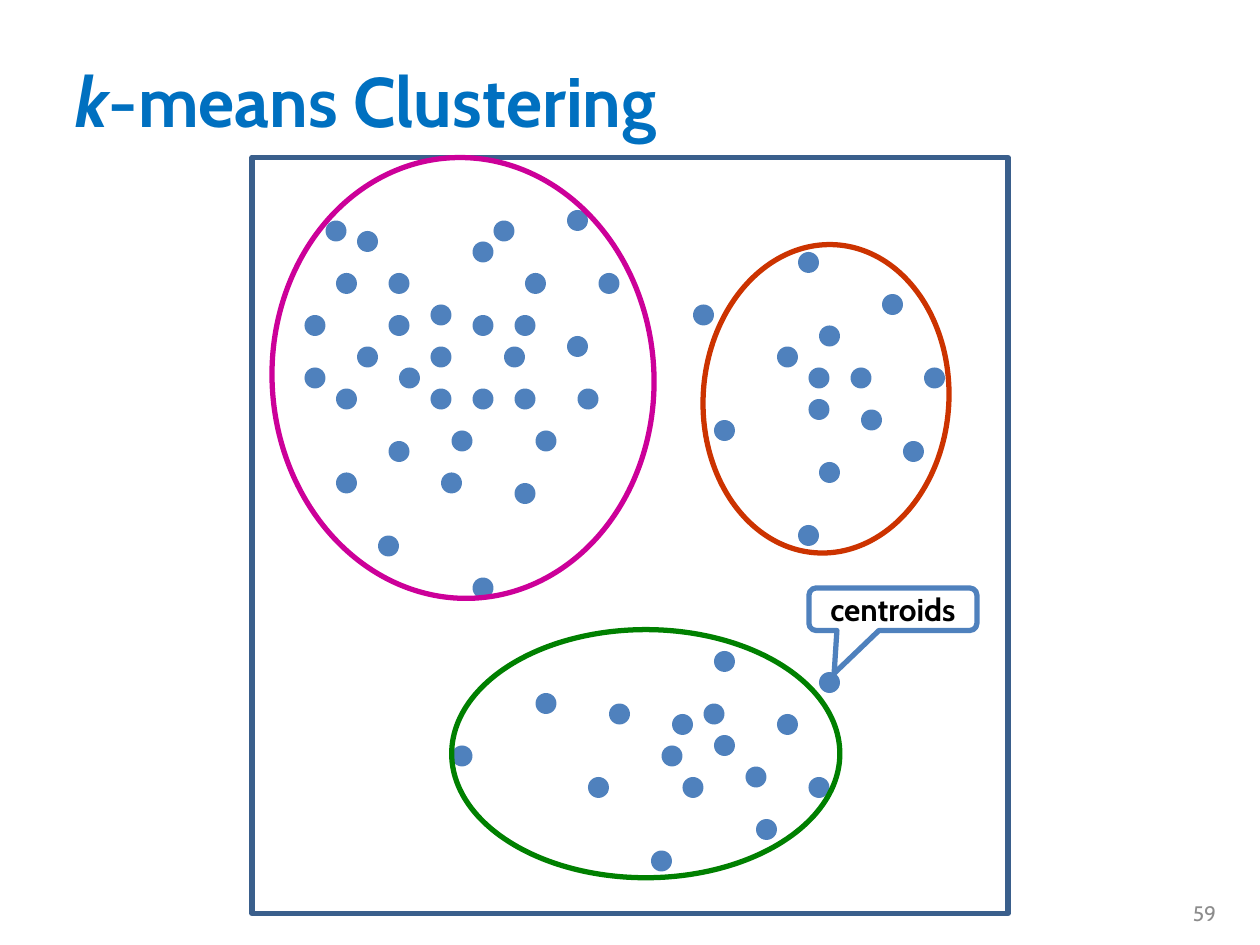
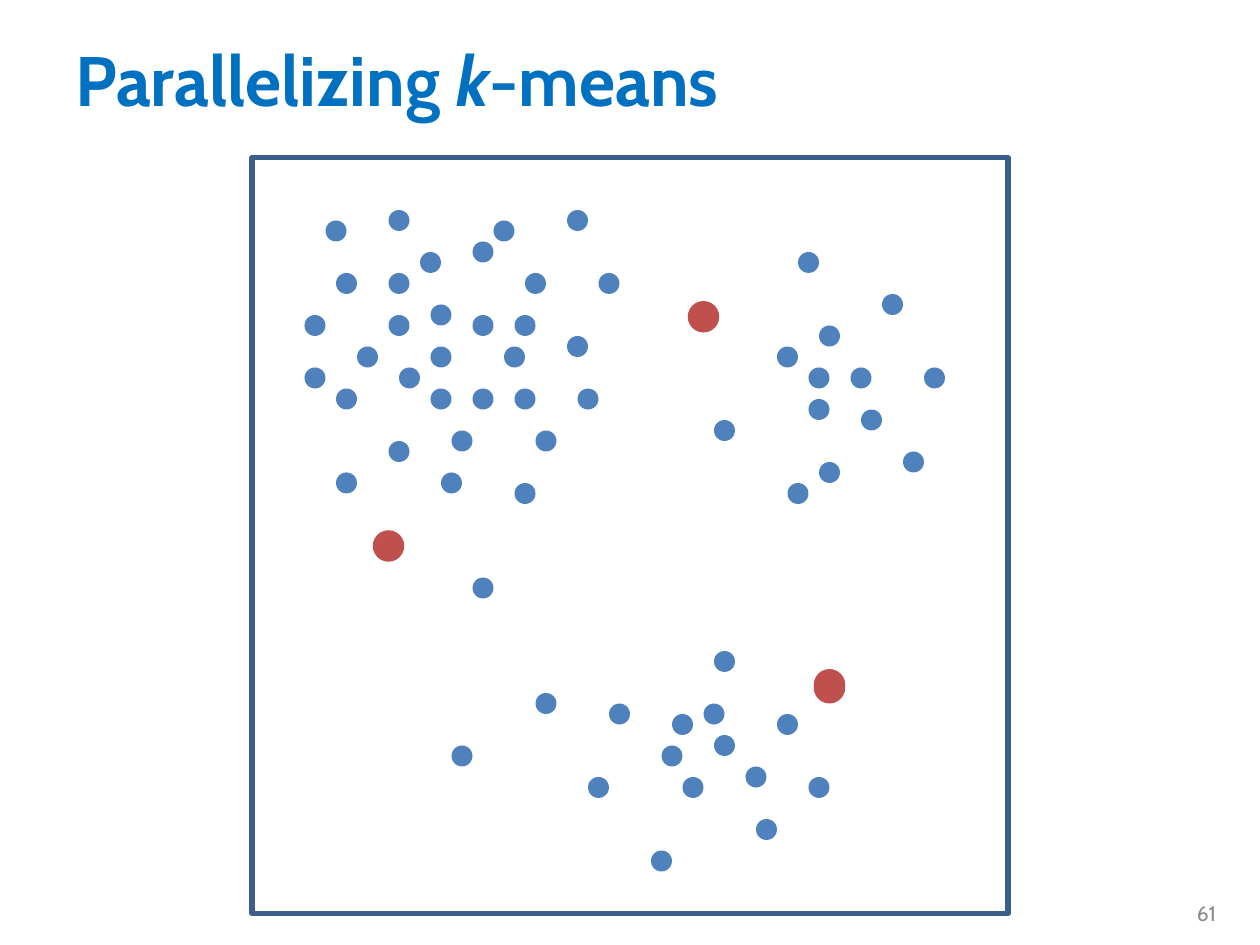
from dataclasses import dataclass

from pptx import Presentation
from pptx.dml.color import RGBColor
from pptx.enum.shapes import MSO_SHAPE
from pptx.enum.text import MSO_ANCHOR, PP_ALIGN
from pptx.shapes.autoshape import Shape
from pptx.slide import Slide
from pptx.text.text import TextFrame
from pptx.util import Pt

COLORS = {
    "title": "0070C0",
    "frame": "3A5F8C",
    "point": "4F81BD",
    "centroid": "C0504D",
    "left cluster": "CC0099",
    "right cluster": "CC3300",
    "bottom cluster": "008000",
    "label": "000000",
    "page number": "8C8C8C",
}
FONT_NAME = "Cabin"
TITLE_FORMAT = {"size": Pt(40), "bold": True}
LABEL_FORMAT = {"size": Pt(18), "bold": True}
PAGE_NUMBER_FORMAT = {"size": Pt(12)}
GRID_STEP = 6
POINT_SIZE = 12
CENTROID_SIZE = 18
OUTLINE_WIDTH = 3


@dataclass(frozen=True)
class Box:
    left: float
    top: float
    width: float
    height: float

    def lengths(self) -> tuple[Pt, Pt, Pt, Pt]:
        return Pt(self.left), Pt(self.top), Pt(self.width), Pt(self.height)


@dataclass(frozen=True)
class TextPart:
    text: str
    italic: bool = False


@dataclass(frozen=True)
class ClusterOutline:
    box: Box
    color: str
    rotation: float = 0


GridPoints = list[tuple[int, int]]

FRAME_BOX = Box(144, 90, 432, 432)
PAGE_NUMBER_BOX = Box(534, 507.6, 168, 28.8)
CALLOUT_BOX = Box(462.24, 336, 96, 24.3)

LEFT_POINTS: GridPoints = [
    (54, 20), (31, 21), (47, 21), (45, 23), (32, 26), (37, 26), (50, 26), (57, 26),
    (41, 29), (29, 30), (37, 30), (45, 30), (49, 30), (54, 32), (34, 33), (41, 33),
    (48, 33), (29, 35), (38, 35), (32, 37), (41, 37), (45, 37), (49, 37), (55, 37),
    (43, 41), (51, 41), (37, 42), (32, 45), (42, 45), (49, 46), (45, 55),
]
RIGHT_POINTS: GridPoints = [
    (76, 24), (84, 28), (78, 31), (74, 33), (77, 35), (81, 35), (88, 35), (77, 38),
    (82, 39), (68, 40), (78, 44),
]
BOTTOM_POINTS: GridPoints = [
    (68, 62), (51, 66), (58, 67), (67, 67), (64, 68), (74, 68), (68, 70), (43, 71),
    (63, 71), (71, 73), (56, 74), (65, 74), (77, 74), (72, 78), (62, 81),
]
SHARED_POINTS = LEFT_POINTS + RIGHT_POINTS + BOTTOM_POINTS
CLUSTERING_POINTS: GridPoints = [(34, 22), (76, 50), (86, 42), (78, 64), (36, 51), (66, 29)]
PARALLEL_POINTS: GridPoints = [(37, 20), (40, 24), (75, 46), (86, 43)]
CENTROID_POSITIONS = [(213, 303), (393, 172), (465, 384), (465, 382.3)]

CLUSTER_OUTLINES = [
    ClusterOutline(Box(155.5, 90, 218.2, 252), "left cluster", 356.8),
    ClusterOutline(Box(401.8, 139.7, 140.4, 176.4), "right cluster", 3.7),
    ClusterOutline(Box(258.1, 359.8, 221.8, 141.8), "bottom cluster"),
]


def set_attributes(target: object, values: dict) -> None:
    for name, value in values.items():
        setattr(target, name, value)


def write_text(
    frame: TextFrame,
    parts: list[TextPart],
    font_format: dict,
    color: str,
    alignment: PP_ALIGN = PP_ALIGN.LEFT,
) -> None:
    set_attributes(frame, {"word_wrap": True, "vertical_anchor": MSO_ANCHOR.MIDDLE})
    paragraph = frame.paragraphs[0]
    paragraph.alignment = alignment
    for part in parts:
        run = paragraph.add_run()
        run.text = part.text
        set_attributes(run.font, {"name": FONT_NAME, "italic": part.italic, **font_format})
        run.font.color.rgb = RGBColor.from_string(COLORS[color])


def add_outline(slide: Slide, kind: MSO_SHAPE, box: Box, color: str) -> Shape:
    shape = slide.shapes.add_shape(kind, *box.lengths())
    shape.shadow.inherit = False
    shape.fill.background()
    shape.line.color.rgb = RGBColor.from_string(COLORS[color])
    shape.line.width = Pt(OUTLINE_WIDTH)
    return shape


def add_dot(slide: Slide, left: float, top: float, size: float, color: str) -> None:
    shape = slide.shapes.add_shape(MSO_SHAPE.OVAL, *Box(left, top, size, size).lengths())
    shape.shadow.inherit = False
    shape.fill.solid()
    shape.fill.fore_color.rgb = RGBColor.from_string(COLORS[color])
    shape.line.fill.background()


def add_points_slide(
    presentation: Presentation,
    title: list[TextPart],
    title_top: float,
    page_number: str,
    points: GridPoints,
) -> Slide:
    slide = presentation.slides.add_slide(presentation.slide_layouts[6])
    title_box = slide.shapes.add_textbox(*Box(36, title_top, 648, 90).lengths())
    write_text(title_box.text_frame, title, TITLE_FORMAT, "title")
    add_outline(slide, MSO_SHAPE.RECTANGLE, FRAME_BOX, "frame")
    for column, row in points:
        add_dot(slide, column * GRID_STEP, row * GRID_STEP, POINT_SIZE, "point")
    number_box = slide.shapes.add_textbox(*PAGE_NUMBER_BOX.lengths())
    write_text(
        number_box.text_frame,
        [TextPart(page_number)],
        PAGE_NUMBER_FORMAT,
        "page number",
        PP_ALIGN.RIGHT,
    )
    return slide


def add_centroid_callout(slide: Slide) -> None:
    callout = add_outline(slide, MSO_SHAPE.ROUNDED_RECTANGULAR_CALLOUT, CALLOUT_BOX, "point")
    for index, value in enumerate((-0.35, 1.51, 0.17)):
        callout.adjustments[index] = value
    margins = {f"margin_{side}": 0 for side in ("left", "top", "right", "bottom")}
    set_attributes(callout.text_frame, margins)
    write_text(
        callout.text_frame, [TextPart("centroids")], LABEL_FORMAT, "label", PP_ALIGN.CENTER
    )


def build_clustering_slide(presentation: Presentation) -> None:
    title = [TextPart("k", True), TextPart("-means Clustering")]
    slide = add_points_slide(presentation, title, 12, "59", SHARED_POINTS + CLUSTERING_POINTS)
    for outline in CLUSTER_OUTLINES:
        shape = add_outline(slide, MSO_SHAPE.OVAL, outline.box, outline.color)
        shape.rotation = outline.rotation
    add_centroid_callout(slide)


def build_parallel_slide(presentation: Presentation) -> None:
    title = [TextPart("Parallelizing "), TextPart("k", True), TextPart("-means")]
    slide = add_points_slide(presentation, title, 0, "61", SHARED_POINTS + PARALLEL_POINTS)
    for left, top in CENTROID_POSITIONS:
        add_dot(slide, left, top, CENTROID_SIZE, "centroid")


def main() -> None:
    presentation = Presentation()
    set_attributes(presentation, {"slide_width": Pt(720), "slide_height": Pt(540)})
    build_clustering_slide(presentation)
    build_parallel_slide(presentation)
    presentation.save("out.pptx")


if __name__ == "__main__":
    main()
